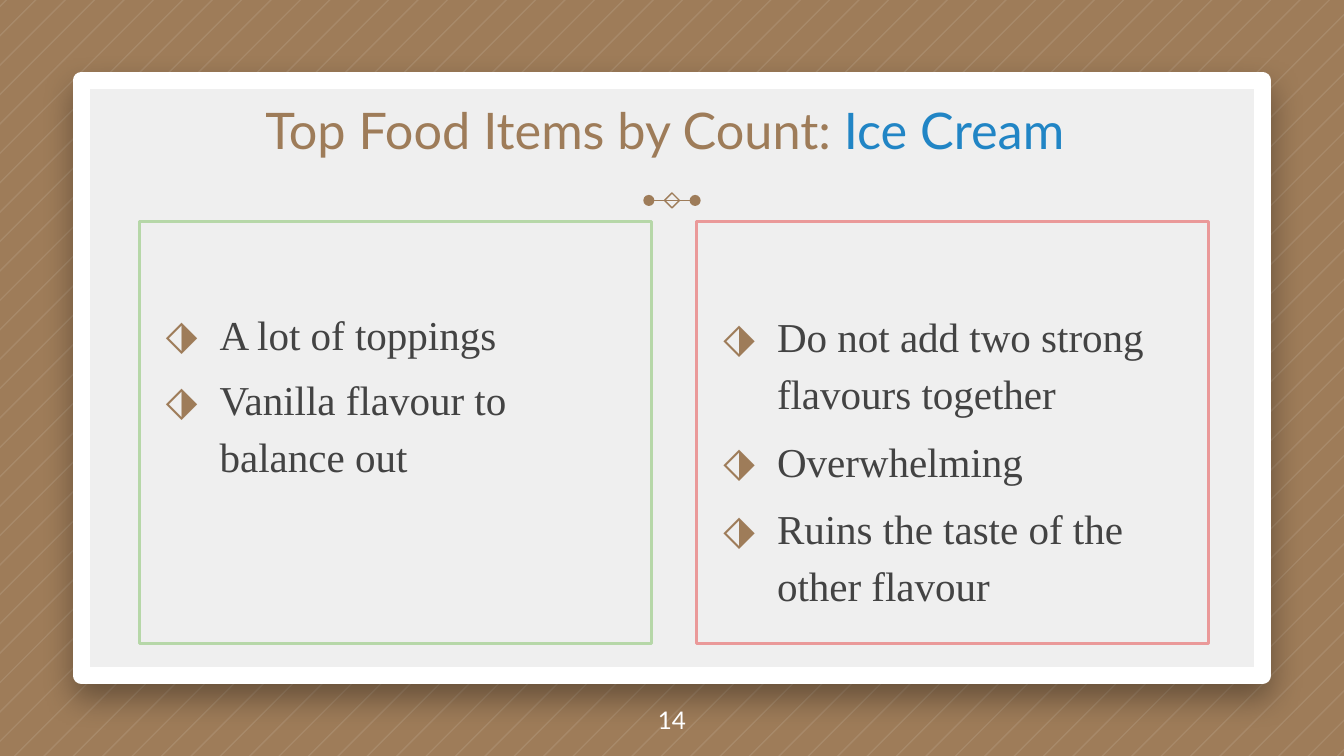
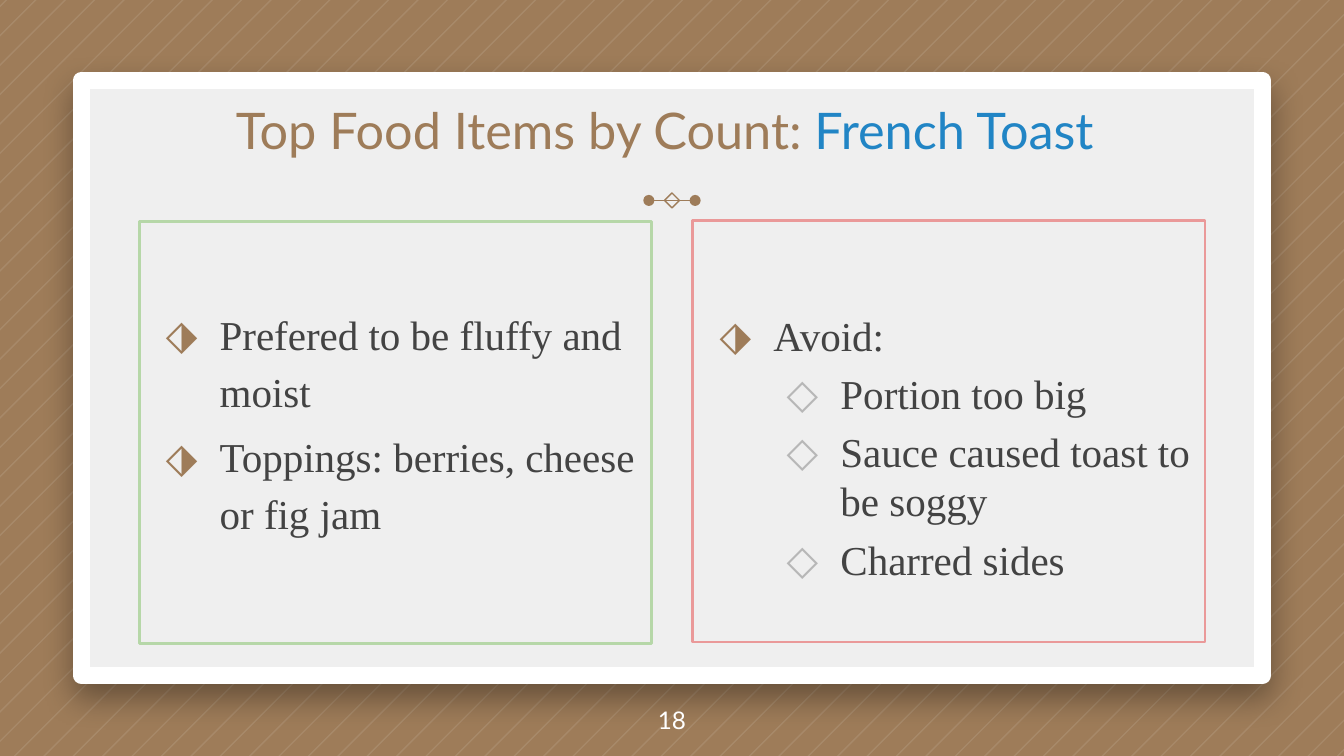
from lxml.etree import SubElement
from pptx import Presentation
from pptx.dml.color import RGBColor
from pptx.enum.shapes import MSO_CONNECTOR, MSO_SHAPE
from pptx.enum.text import MSO_ANCHOR as ANCHOR, MSO_AUTO_SIZE, PP_ALIGN as ALIGN
from pptx.oxml.ns import qn
from pptx.util import Pt

BROWN = RGBColor(0x9E, 0x7C, 0x59)
BLUE = RGBColor(0x21, 0x85, 0xC5)
WHITE = RGBColor(0xFF, 0xFF, 0xFF)
PANEL = RGBColor(0xEF, 0xEF, 0xEF)
GREEN = RGBColor(0xB6, 0xD7, 0xA8)
RED = RGBColor(0xEA, 0x99, 0x99)
INK = RGBColor(0x43, 0x43, 0x43)
GREY = RGBColor(0xB7, 0xB7, 0xB7)

WIDTH, HEIGHT = 720, 405
STRIPE_START, STRIPE_STEP, STRIPE_WIDTH, STRIPES = 2.9, 15.75, 1.05, 72
INSET = 7.2
LIST_TOP = 38.2

TITLE_FONT = dict(name="Lato", size=Pt(27))
NUMBER_FONT = dict(name="Lato", size=Pt(13))
LIST_FONT = dict(name="Times New Roman", size=Pt(22))

# Indent, bullet, bullet colour and line spacing of each list level
LEVELS = [(36, "⬗", BROWN, 1.15), (72, "◇", GREY, 1.0)]
HANG = 28.8

SLIDES = [
    dict(
        food="Ice Cream", number="14", red_at=(373.2, 118.8),
        likes=[(0, "A lot of toppings"), (0, "Vanilla flavour to balance out")],
        dislikes=[
            (0, "Do not add two strong flavours together"),
            (0, "Overwhelming"),
            (0, "Ruins the taste of the other flavour"),
        ],
    ),
    dict(
        food="French Toast", number="18", red_at=(371.2, 118),
        likes=[
            (0, "Prefered to be fluffy and moist"),
            (0, "Toppings: berries, cheese or fig jam"),
        ],
        dislikes=[
            (0, "Avoid:"),
            (1, "Portion too big"),
            (1, "Sauce caused toast to be soggy"),
            (1, "Charred sides"),
        ],
    ),
]


def set_attrs(obj, **values):
    for name, value in values.items():
        setattr(obj, name, value)


def add_run(p, text, color, font):
    r = p.add_run()
    r.text = text
    set_attrs(r.font, **font)
    r.font.color.rgb = color


def set_frame(tf, anchor, top=INSET):
    set_attrs(tf, word_wrap=True, auto_size=MSO_AUTO_SIZE.NONE,
              vertical_anchor=anchor, margin_top=Pt(top),
              **{f"margin_{side}": Pt(INSET) for side in ("left", "right", "bottom")})


def add_outlined(shapes, kind, box, color, width):
    """Add a preset shape with a line and neither fill nor shadow."""
    sp = shapes.add_shape(kind, *map(Pt, box))
    sp.shadow.inherit = False
    sp.fill.background()
    sp.line.color.rgb = color
    sp.line.width = Pt(width)
    return sp


def add_stripes(shapes):
    """Draw the diagonal hairlines, each between x + y = c and x + y = c + width."""
    def upper(c):
        return Pt(min(c, WIDTH)), Pt(max(0, c - WIDTH))

    def lower(c):
        return Pt(max(0, c - HEIGHT)), Pt(min(c, HEIGHT))

    builder = None
    for i in range(STRIPES):
        near = STRIPE_START + i * STRIPE_STEP
        far = near + STRIPE_WIDTH
        if builder is None:
            builder = shapes.build_freeform(*upper(near), scale=1.0)
        else:
            builder.move_to(*upper(near))
        builder.add_line_segments([lower(near), lower(far), upper(far)], close=True)
    sp = builder.convert_to_shape()
    sp.shadow.inherit = False
    sp.line.fill.background()
    sp.fill.solid()
    sp.fill.fore_color.rgb = WHITE
    color = sp._element.spPr.find(".//" + qn("a:srgbClr"))
    SubElement(color, qn("a:alpha"), val="10000")


def add_panel(shapes):
    sp = add_outlined(shapes, MSO_SHAPE.RECTANGLE, (43.6, 43, 632.8, 319), WHITE, 9)
    sp.fill.solid()
    sp.fill.fore_color.rgb = PANEL
    effects = sp._element.spPr.find(qn("a:effectLst"))
    shadow = SubElement(effects, qn("a:outerShdw"), blurRad=str(Pt(16.9)),
                        dist=str(Pt(7.5)), dir="5400000", algn="t", rotWithShape="0")
    color = SubElement(shadow, qn("a:srgbClr"), val="000000")
    SubElement(color, qn("a:alpha"), val="35000")


def add_ornament(shapes):
    group = shapes.add_group_shape().shapes
    y = 107.4
    line = group.add_connector(MSO_CONNECTOR.STRAIGHT, Pt(347.6), Pt(y), Pt(372.4), Pt(y))
    line.line.color.rgb = BROWN
    line.line.width = Pt(0.75)
    for end in ("a:headEnd", "a:tailEnd"):
        SubElement(line.line._get_or_add_ln(), qn(end), type="oval")
    SubElement(line._element.spPr, qn("a:effectLst"))
    size = 8
    box = (WIDTH - size) / 2, y - size / 2, size, size
    add_outlined(group, MSO_SHAPE.DIAMOND, box, BROWN, 0.75)


def move_to_layout(slide, layout):
    """Turn the decoration drawn on a slide into part of its layout."""
    for ph in list(layout.placeholders)[1:]:
        ph._element.getparent().remove(ph._element)
    for sp in list(slide.shapes):
        if not sp.is_placeholder:
            layout.shapes._spTree.append(sp._element)


def set_title(slide, food):
    title = slide.shapes.title
    set_attrs(title, left=Pt(70.6), top=Pt(25.2), width=Pt(571), height=Pt(67.7))
    tf = title.text_frame
    set_frame(tf, ANCHOR.BOTTOM)
    p = tf.paragraphs[0]
    p.alignment = ALIGN.CENTER
    add_run(p, "Top Food Items by Count: ", BROWN, TITLE_FONT)
    add_run(p, food, BLUE, TITLE_FONT)


def add_number(slide, number):
    tf = slide.shapes.add_textbox(0, Pt(366), Pt(WIDTH), Pt(39)).text_frame
    set_frame(tf, ANCHOR.MIDDLE)
    p = tf.paragraphs[0]
    p.alignment = ALIGN.CENTER
    add_run(p, number, WHITE, NUMBER_FONT)


def set_bullet(p, level):
    indent, char, color, spacing = LEVELS[level]
    set_attrs(p, level=level, alignment=ALIGN.LEFT, line_spacing=spacing)
    pPr = p._p.get_or_add_pPr()
    pPr.set("marL", str(Pt(indent)))
    pPr.set("indent", str(Pt(-HANG)))
    SubElement(SubElement(pPr, qn("a:buClr")), qn("a:srgbClr"), val=str(color))
    SubElement(pPr, qn("a:buFont"), typeface="Lato")
    SubElement(pPr, qn("a:buChar"), char=char)


def add_list_box(slide, at, color, items, gap):
    sp = add_outlined(slide.shapes, MSO_SHAPE.RECTANGLE, (*at, 274.4, 226), color, 1.5)
    tf = sp.text_frame
    set_frame(tf, ANCHOR.TOP, top=LIST_TOP + gap)
    for i, (level, text) in enumerate(items):
        p = tf.add_paragraph() if i else tf.paragraphs[0]
        set_bullet(p, level)
        p.space_before = Pt((4.8 if level else gap) if i else 0)
        add_run(p, text, INK, LIST_FONT)


def main():
    prs = Presentation()
    set_attrs(prs, slide_width=Pt(WIDTH), slide_height=Pt(HEIGHT))
    layout = prs.slide_layouts.get_by_name("Title Only")
    fill = layout.background.fill
    fill.solid()
    fill.fore_color.rgb = BROWN
    slides = [prs.slides.add_slide(layout) for _ in SLIDES]

    for draw in (add_stripes, add_panel, add_ornament):
        draw(slides[0].shapes)
    move_to_layout(slides[0], layout)

    for slide, content in zip(slides, SLIDES):
        set_title(slide, content["food"])
        add_number(slide, content["number"])
        add_list_box(slide, (74.6, 118.8), GREEN, content["likes"], gap=4.8)
        add_list_box(slide, content["red_at"], RED, content["dislikes"], gap=6)
    prs.save("out.pptx")


if __name__ == "__main__":
    main()
